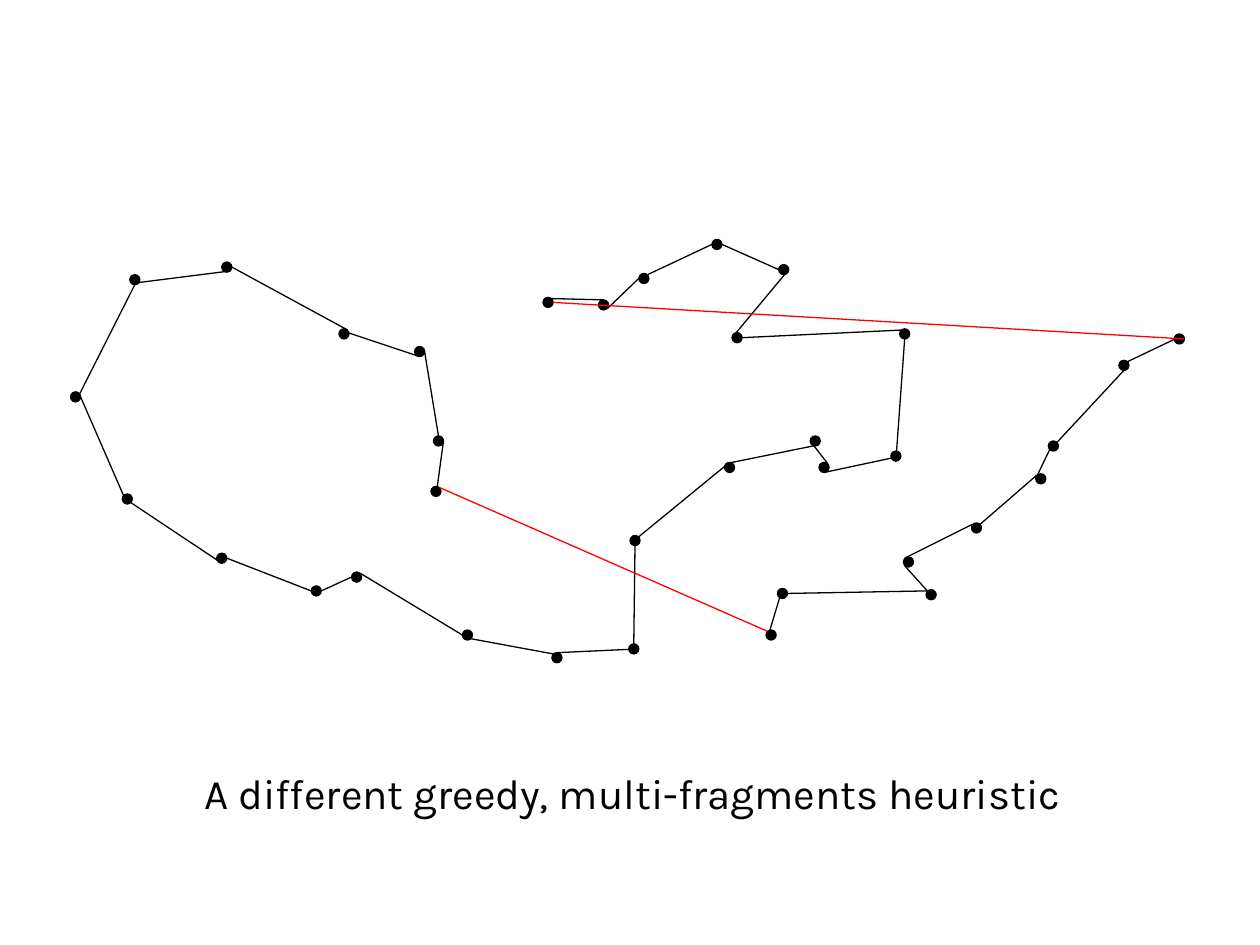
from itertools import pairwise
from math import cos, pi, sin

from lxml.etree import SubElement
from pptx import Presentation
from pptx.dml.color import RGBColor as Rgb
from pptx.enum.shapes import MSO_CONNECTOR as Conn, MSO_SHAPE as Shape
from pptx.enum.text import MSO_AUTO_SIZE as Fit, PP_ALIGN as Align
from pptx.oxml.ns import qn
from pptx.util import Pt

SCALE = 9144
HUES = {"ink": "000000", "join": "FF0000", "page": "FFFFFF"}
RADIUS = 4
STROKE = Pt(0.75)
TURNS = {side: n * pi / 4 for n, side in enumerate("N NE E SE S SW W NW".split())}

# Each stop: x, y, side where the tour enters, side where it leaves.
LONG = [
    (381, 86, "E", "NE"), (425, 88, "N", "SE"), (457, 67, "W", "NE"),
    (515, 40, "W", "E"), (568, 60, "W", "E"), (531, 114, "W", "E"),
    (664, 111, "NW", "S"), (657, 208, "S", "E"), (600, 217, "S", "NE"),
    (593, 196, "W", "SE"), (525, 217, "NW", "N"), (450, 275, "NE", "S"),
    (449, 361, "N", "E"), (388, 368, "N", "NW"), (317, 350, "SE", "W"),
    (229, 304, "NE", "W"), (197, 315, "E", "W"), (122, 289, "E", "S"),
    (47, 242, "SE", "S"), (6, 161, "E", "S"), (53, 68, "S", "SW"),
    (126, 58, "SE", "E"), (219, 111, "NE", "NW"), (279, 125, "S", "E"),
    (294, 196, "N", "E"), (292, 236, "S", "NE"),
]
SHORT = [
    (558, 350, "NW", "SW"), (567, 317, "N", "E"), (685, 318, "NW", "NW"),
    (667, 292, "SW", "NW"), (721, 265, "NW", "NE"), (772, 226, "NW", "W"),
    (782, 200, "SW", "NE"), (838, 136, "S", "NE"), (882, 115, "NE", "E"),
]


def px(*nums):
    return [n * SCALE for n in nums]


def hue(name):
    return Rgb.from_string(HUES[name])


def rim(stop, side):
    x, y = stop[:2]
    turn = TURNS[side]
    return x + RADIUS + round(RADIUS * sin(turn)), y + RADIUS - round(RADIUS * cos(turn))


def add_dot(slide, x, y):
    size = 2 * RADIUS
    dot = slide.shapes.add_shape(Shape.FLOWCHART_CONNECTOR, *px(x, y, size, size))
    dot.shadow.inherit = False
    dot.fill.solid()
    dot.fill.fore_color.rgb = hue("ink")
    dot.line.color.rgb = hue("ink")
    dot.line.width = STROKE


def add_edge(slide, start, end, color):
    ends = *rim(start, start[3]), *rim(end, end[2])
    edge = slide.shapes.add_connector(Conn.STRAIGHT, *px(*ends))
    edge.line.color.rgb = hue(color)
    edge.line.width = STROKE
    SubElement(edge._element.spPr, qn("a:effectLst"))


def add_text(slide, box, text, size=24, font="Karla", color="ink", align=Align.CENTER):
    frame = slide.shapes.add_textbox(*px(*box)).text_frame
    frame.word_wrap = False
    frame.auto_size = Fit.SHAPE_TO_FIT_TEXT
    para = frame.paragraphs[0]
    para.alignment = align
    run = para.add_run()
    run.text = text
    run.font.size = Pt(size)
    run.font.name = font
    run.font.color.rgb = hue(color)


def add_tour(slide, left, top, parts):
    parts = [[(left + x, top + y, *sides) for x, y, *sides in part] for part in parts]
    for part in parts:
        for x, y, *_ in part:
            add_dot(slide, x, y)
    for part in parts:
        for start, end in pairwise(part):
            add_edge(slide, start, end, "ink")
    for part, after in pairwise(parts + parts[:1]):
        add_edge(slide, part[-1], after[0], "join")


def main():
    deck = Presentation()
    deck.slide_width, deck.slide_height = px(1000, 750)
    slide = deck.slides.add_slide(deck.slide_layouts[6])
    slide.background.fill.solid()
    slide.background.fill.fore_color.rgb = hue("page")
    add_tour(slide, 50, 150, [LONG, SHORT])
    add_text(slide, (142, 604, 720, 50), "A different greedy, multi-fragments heuristic")
    deck.save("out.pptx")


if __name__ == "__main__":
    main()
